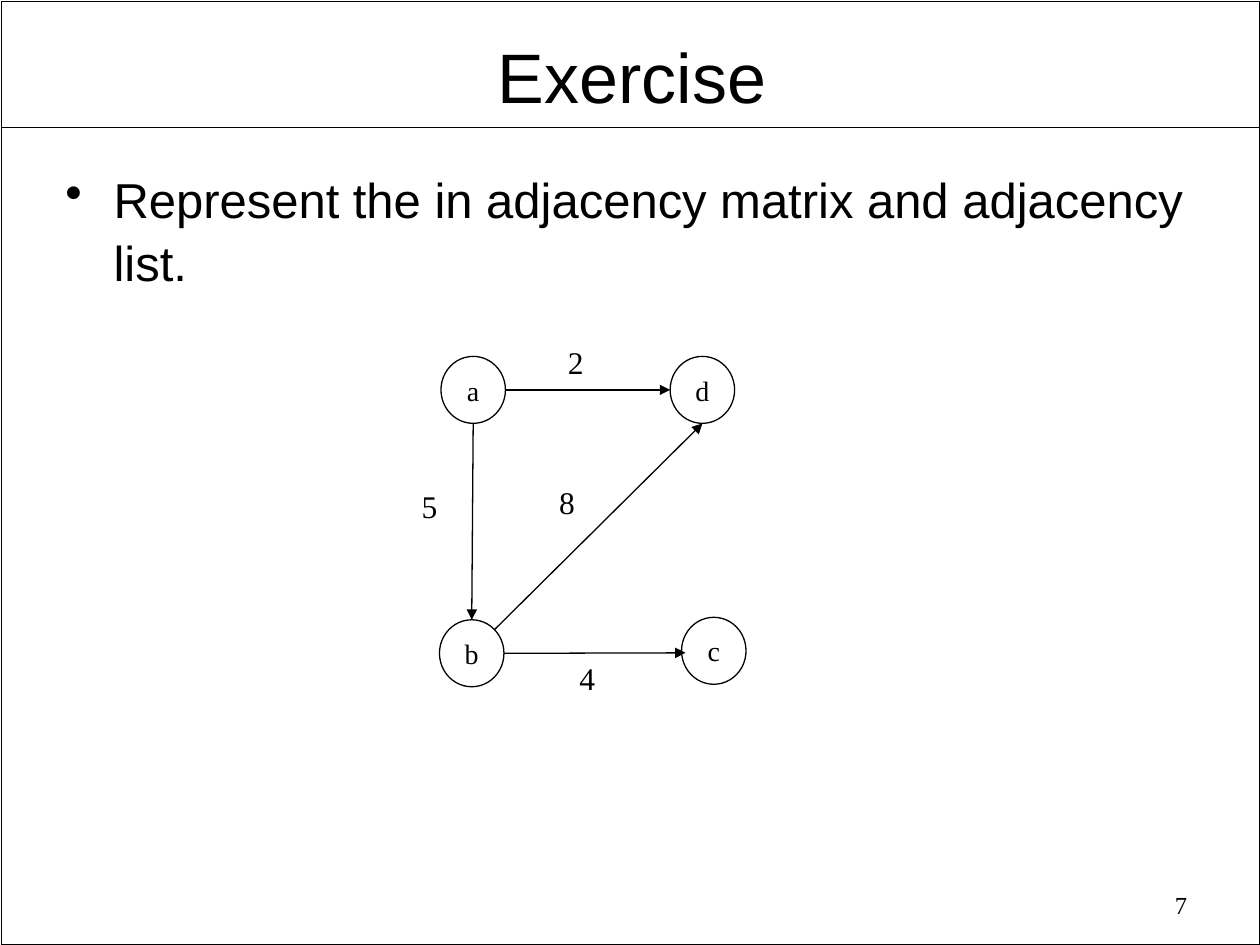
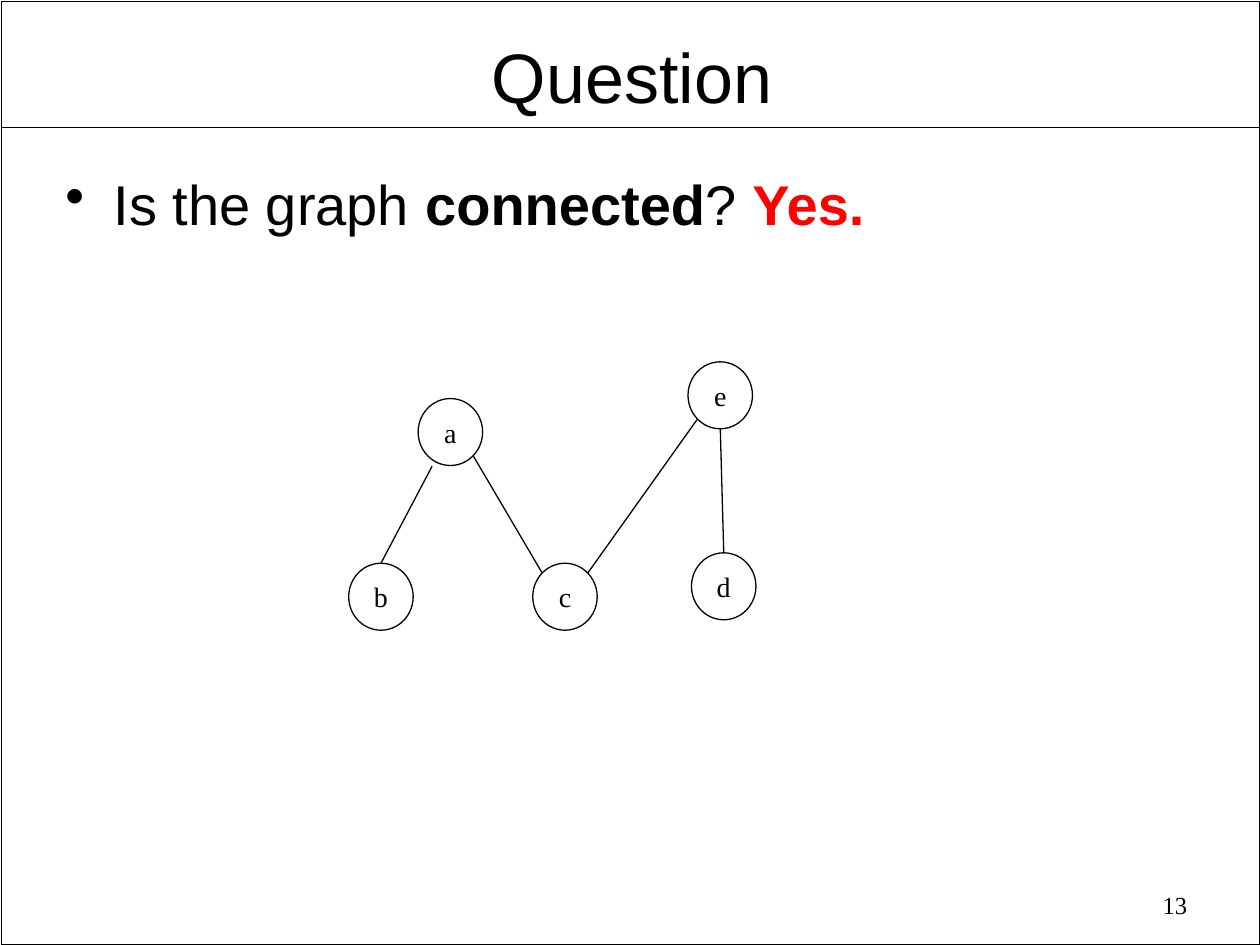
from math import cos, radians, sin

from lxml import etree
from pptx import Presentation
from pptx.dml.color import RGBColor
from pptx.enum.shapes import MSO_CONNECTOR, MSO_SHAPE
from pptx.enum.text import MSO_ANCHOR, PP_ALIGN
from pptx.oxml.ns import qn
from pptx.util import Cm, Pt

STRAIGHT = MSO_CONNECTOR.STRAIGHT
RECT, OVAL = MSO_SHAPE.RECTANGLE, MSO_SHAPE.OVAL
LEFT, CENTER, RIGHT = PP_ALIGN.LEFT, PP_ALIGN.CENTER, PP_ALIGN.RIGHT
MIDDLE = MSO_ANCHOR.MIDDLE

COLORS = {"ink": "000000", "answer": "FF0000"}
SANS, SERIF = "Arial", "Times New Roman"
NODE_W, NODE_H = 1.3, 1.35
WEIGHT_W, WEIGHT_H = 1.2, 1.02
INDENT = 0.97
LOOSE = 1.07  # line spacing of titles and body text
ANGLES = {"e": 0, "se": 45, "s": 90, "sw": 135,
          "w": 180, "nw": 225, "n": 270, "ne": 315}


def color(name):
    return RGBColor.from_string(COLORS[name])


def rim(center, side):
    """Point on the edge of a node, by compass side."""
    angle = radians(ANGLES[side])
    return (center[0] + NODE_W / 2 * cos(angle),
            center[1] + NODE_H / 2 * sin(angle))


class Deck:
    def __init__(self):
        self.prs = Presentation()
        self.prs.slide_width, self.prs.slide_height = Cm(25.4), Cm(19.05)
        self.s = None

    def slide(self, title, number):
        self.s = self.prs.slides.add_slide(self.prs.slide_layouts[6])
        self.shape(RECT, 0.03, 0.03, 25.37, 19.02, 1)
        self.line((0.03, 2.57), (25.37, 2.57), 1)
        p = self.text(title, 1.35, 0.48, 22.78, 1.83, 40, SANS, CENTER,
                      (0.18, 0.08))
        p.line_spacing = LOOSE
        self.text(str(number), 18.24, 17.81, 5.94, 0.91, 14, SERIF, RIGHT)

    def shape(self, kind, x, y, w, h, width):
        sp = self.s.shapes.add_shape(kind, Cm(x), Cm(y), Cm(w), Cm(h))
        sp.shadow.inherit = False
        sp.fill.background()
        sp.line.color.rgb = color("ink")
        sp.line.width = Pt(width)
        return sp

    def line(self, start, end, width=0.75, arrow=False):
        cx = self.s.shapes.add_connector(
            STRAIGHT, *(Cm(v) for v in (*start, *end)))
        cx.line.color.rgb = color("ink")
        cx.line.width = Pt(width)
        if arrow:
            etree.SubElement(cx.line._get_or_add_ln(), qn("a:tailEnd"),
                             type="triangle")
        etree.SubElement(cx._element.spPr, qn("a:effectLst"))

    def style(self, p, size, font, align):
        p.alignment = align
        p.font.size, p.font.name = Pt(size), font
        p.font.color.rgb = color("ink")

    def text(self, text, x, y, w, h, size, font, align, inset=(0.25, 0.13)):
        tb = self.s.shapes.add_textbox(Cm(x), Cm(y), Cm(w), Cm(h))
        tf = tb.text_frame
        tf.word_wrap = True
        tf.margin_left = tf.margin_right = Cm(inset[0])
        tf.margin_top = tf.margin_bottom = Cm(inset[1])
        p = tf.paragraphs[0]
        if text:
            p.add_run().text = text
        self.style(p, size, font, align)
        return p

    def bullet(self, runs, size, h):
        """Runs are (text, bold, colour name)."""
        p = self.text("", 1.07, 3.2, 23.29, h, size, SANS, LEFT)
        p.line_spacing = LOOSE
        pPr = p._p.get_or_add_pPr()
        pPr.set("marL", str(Cm(INDENT)))
        pPr.set("indent", str(-Cm(INDENT)))
        bu = etree.Element(qn("a:buChar"), char="•")
        pPr.find(qn("a:defRPr")).addprevious(bu)
        for text, bold, name in runs:
            r = p.add_run()
            r.text = text
            r.font.size, r.font.name, r.font.bold = Pt(size), SANS, bold
            r.font.color.rgb = color(name)

    def node(self, label, center):
        x, y = center
        sp = self.shape(OVAL, x - NODE_W / 2, y - NODE_H / 2,
                        NODE_W, NODE_H, 0.75)
        tf = sp.text_frame
        tf.vertical_anchor = MIDDLE
        tf.margin_left = tf.margin_right = 0
        tf.margin_top = tf.margin_bottom = 0
        p = tf.paragraphs[0]
        p.add_run().text = label
        self.style(p, 16, SERIF, CENTER)

    def graph(self, nodes, edges, arrow=False):
        for label, center in nodes.items():
            self.node(label, center)
        for start, end in edges:
            self.line(start, end, arrow=arrow)

    def weight(self, value, x, y):
        self.text(value, x - WEIGHT_W / 2, y - WEIGHT_H / 2,
                  WEIGHT_W, WEIGHT_H, 18, SERIF, CENTER)


def exercise(deck):
    deck.slide("Exercise", 7)
    deck.bullet([("Represent the in adjacency matrix and adjacency list.",
                  False, "ink")], 28, 3.05)
    a, b, c, d = (9.54, 7.86), (9.51, 13.17), (14.39, 13.12), (14.16, 7.86)
    deck.graph({"a": a, "b": b, "c": c, "d": d},
               [(rim(a, "s"), rim(b, "n")),
                (rim(a, "e"), rim(d, "w")),
                (rim(b, "e"), (13.82, 13.16)),
                (rim(b, "ne"), rim(d, "s"))], arrow=True)
    for value, x, y in [("5", 8.66, 10.19), ("2", 11.61, 7.29),
                        ("8", 11.43, 10.11), ("4", 11.84, 13.67)]:
        deck.weight(value, x, y)


def question(deck):
    deck.slide("Question", 13)
    deck.bullet([("Is the graph ", False, "ink"), ("connected", True, "ink"),
                 ("? ", False, "ink"), ("Yes.", True, "answer")], 32, 3.53)
    a, b, c = (9.08, 8.71), (7.68, 12.03), (11.39, 12.03)
    d, e = (14.59, 11.82), (14.52, 7.97)
    deck.graph({"a": a, "b": b, "c": c, "d": d, "e": e},
               [((8.71, 9.4), rim(b, "n")),
                (rim(a, "se"), rim(c, "nw")),
                (rim(e, "s"), rim(d, "n")),
                (rim(e, "sw"), rim(c, "ne"))])


def main():
    deck = Deck()
    exercise(deck)
    question(deck)
    deck.prs.save("out.pptx")


if __name__ == "__main__":
    main()
